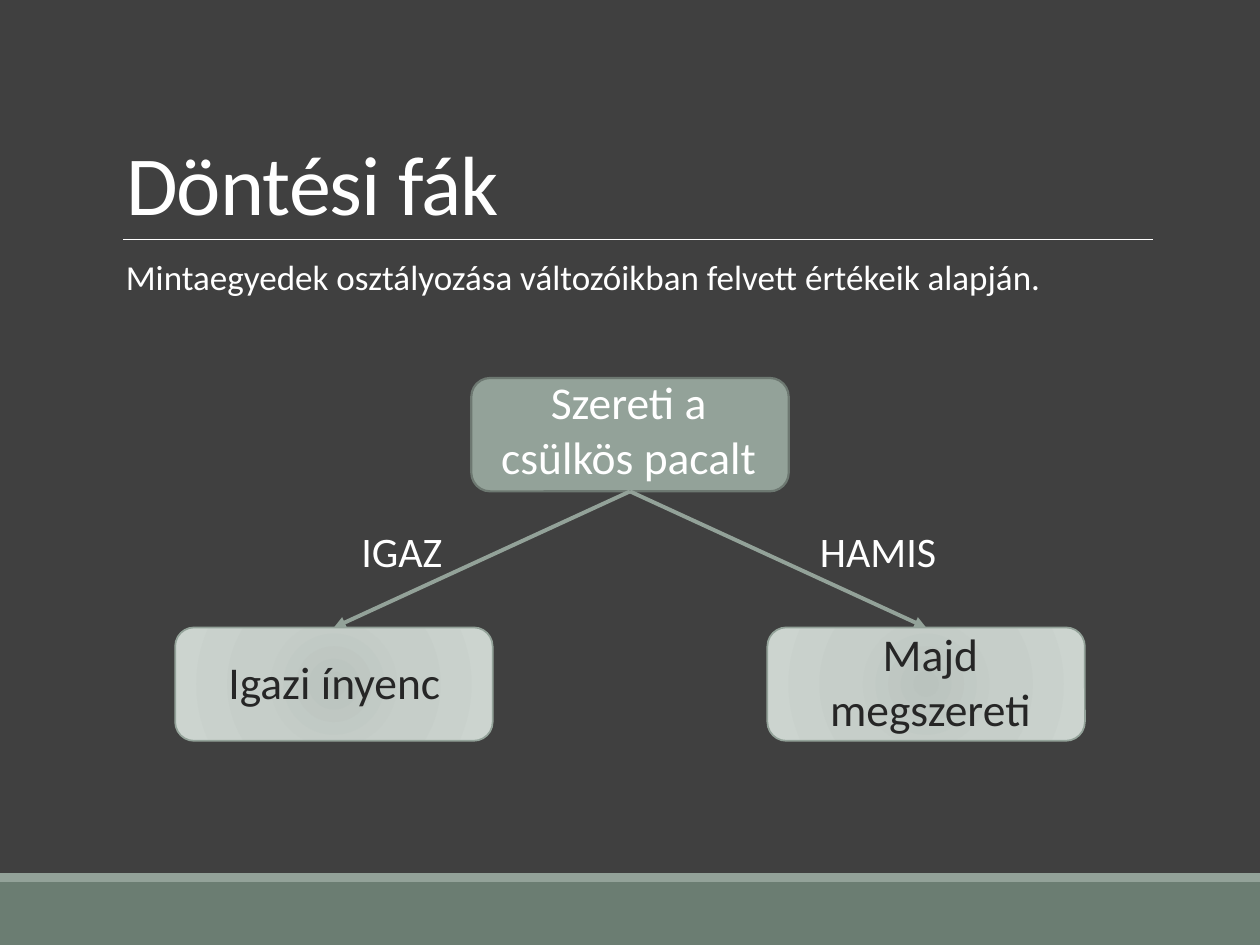
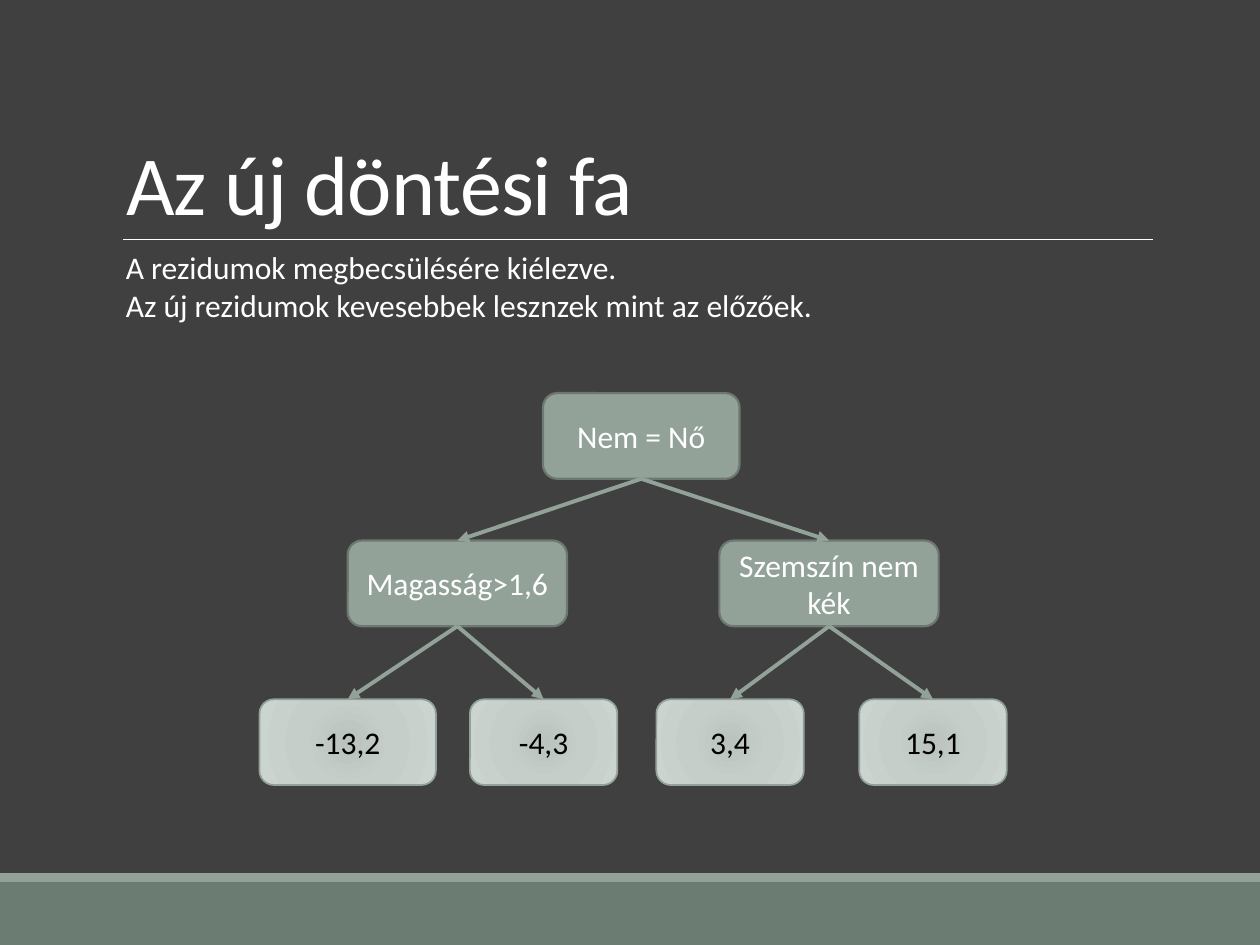
from dataclasses import dataclass, field

import pptx
import pptx.dml.color
import pptx.enum.dml
import pptx.enum.shapes
import pptx.enum.text
import pptx.oxml
import pptx.oxml.ns
import pptx.presentation
import pptx.shapes.autoshape
import pptx.shapes.connector
import pptx.slide
import pptx.text.text
import pptx.util
from lxml import etree

RGBColor = pptx.dml.color.RGBColor
Align = pptx.enum.text.PP_ALIGN
Anchor = pptx.enum.text.MSO_ANCHOR
ShapeKind = pptx.enum.shapes.MSO_SHAPE

# Grid: 100 columns by 75 rows over the whole slide
SLIDE_WIDTH = pptx.util.Inches(10)
SLIDE_HEIGHT = pptx.util.Inches(7.5)
COLUMN = SLIDE_WIDTH / 100
ROW = SLIDE_HEIGHT / 75

# Shared look
FONT = "Calibri"
BACKGROUND = RGBColor(0x40, 0x40, 0x40)
WHITE = RGBColor(0xFF, 0xFF, 0xFF)
BLACK = RGBColor(0x00, 0x00, 0x00)
INK = RGBColor(0x26, 0x26, 0x26)
BAND = RGBColor(0x6B, 0x7D, 0x72)
SAGE = RGBColor(0x93, 0xA2, 0x99)
SAGE_EDGE = RGBColor(0x6D, 0x78, 0x71)
LEAF_STOPS = (
    (0, RGBColor(0xBA, 0xC3, 0xBE)),
    (45, RGBColor(0xC6, 0xCE, 0xC9)),
    (100, RGBColor(0xCC, 0xD4, 0xCF)),
)

# Connection sites of a rounded rectangle
TOP_SITE, BOTTOM_SITE = 0, 2


@dataclass(frozen=True)
class Area:
    """A rectangle in grid columns and rows."""
    column: float
    row: float
    columns: float
    rows: float

    def lengths(self) -> tuple[int, int, int, int]:
        return (round(self.column * COLUMN), round(self.row * ROW),
                round(self.columns * COLUMN), round(self.rows * ROW))


@dataclass(frozen=True)
class Node:
    key: str
    area: Area
    is_leaf: bool = False
    text: str = ""


@dataclass(frozen=True)
class Caption:
    text: str
    area: Area
    size: float
    color: RGBColor = WHITE
    alignment: Align = Align.LEFT
    line_spacing: float = 1.0


@dataclass(frozen=True)
class TreeSlide:
    title: str
    title_top: float
    nodes: list[Node]
    links: list[tuple[str, str]]
    captions: list[Caption] = field(default_factory=list)


def format_text(text_frame: pptx.text.text.TextFrame, size: float, color: RGBColor,
                alignment: Align, line_spacing: float = 1.0) -> None:
    text_frame.word_wrap = True
    for paragraph in text_frame.paragraphs:
        paragraph.alignment = alignment
        paragraph.line_spacing = line_spacing
        for run in paragraph.runs:
            run.font.name = FONT
            run.font.size = pptx.util.Pt(size)
            run.font.color.rgb = color


def fill_radial(shape: pptx.shapes.autoshape.Shape) -> None:
    shape.fill.gradient()
    gradient = shape._element.spPr.find(pptx.oxml.ns.qn("a:gradFill"))
    stops = "".join(
        f'<a:gs pos="{position * 1000}"><a:srgbClr val="{color}"/></a:gs>'
        for position, color in LEAF_STOPS)
    gradient.getparent().replace(gradient, pptx.oxml.parse_xml(
        f'<a:gradFill {pptx.oxml.ns.nsdecls("a")} rotWithShape="1">'
        f'<a:gsLst>{stops}</a:gsLst><a:path path="circle">'
        '<a:fillToRect l="100000" t="100000" r="100000" b="100000"/>'
        '</a:path></a:gradFill>'))


def style_line(connector: pptx.shapes.connector.Connector,
               color: RGBColor, width: float) -> None:
    connector.line.color.rgb = color
    connector.line.width = pptx.util.Pt(width)
    etree.SubElement(connector._element.spPr, pptx.oxml.ns.qn("a:effectLst"))


def add_band(slide: pptx.slide.Slide, area: Area, color: RGBColor) -> None:
    band = slide.shapes.add_shape(ShapeKind.RECTANGLE, *area.lengths())
    band.shadow.inherit = False
    band.fill.solid()
    band.fill.fore_color.rgb = color
    band.line.fill.background()


def add_frame(slide: pptx.slide.Slide) -> None:
    """Footer bands and the rule under the title."""
    add_band(slide, Area(0, 70, 100, 5), BAND)
    add_band(slide, Area(0, 69.3, 100, 0.7), SAGE)
    rule = slide.shapes.add_connector(
        pptx.enum.shapes.MSO_CONNECTOR.STRAIGHT,
        round(9.8 * COLUMN), round(19 * ROW), round(91.5 * COLUMN), round(19 * ROW))
    style_line(rule, WHITE, 0.5)


def set_title(slide: pptx.slide.Slide, text: str, top: float) -> None:
    title = slide.shapes.title
    title.left, title.top, title.width, title.height = Area(
        9, top, 82.5, 19 - top).lengths()
    text_frame = title.text_frame
    text_frame.text = text
    text_frame.auto_size = pptx.enum.text.MSO_AUTO_SIZE.NONE
    text_frame.vertical_anchor = Anchor.BOTTOM
    format_text(text_frame, 48, WHITE, Align.LEFT, 0.85)
    for run in text_frame.paragraphs[0].runs:
        run.font._element.set("spc", "-50")


def add_node(slide: pptx.slide.Slide, node: Node) -> pptx.shapes.autoshape.Shape:
    shape = slide.shapes.add_shape(ShapeKind.ROUNDED_RECTANGLE, *node.area.lengths())
    shape.shadow.inherit = False
    if node.is_leaf:
        fill_radial(shape)
    else:
        shape.fill.solid()
        shape.fill.fore_color.rgb = SAGE
    shape.line.color.rgb = SAGE if node.is_leaf else SAGE_EDGE
    shape.line.width = pptx.util.Pt(1 if node.is_leaf else 1.25)
    if node.text:
        shape.text_frame.text = node.text
        shape.text_frame.vertical_anchor = Anchor.MIDDLE
        format_text(shape.text_frame, 18, BLACK if node.is_leaf else WHITE, Align.CENTER)
    return shape


def add_arrow(slide: pptx.slide.Slide, parent: pptx.shapes.autoshape.Shape,
              child: pptx.shapes.autoshape.Shape) -> None:
    arrow = slide.shapes.add_connector(
        pptx.enum.shapes.MSO_CONNECTOR.STRAIGHT, 0, 0, 0, 0)
    arrow.begin_connect(parent, BOTTOM_SITE)
    arrow.end_connect(child, TOP_SITE)
    style_line(arrow, SAGE, 2.25)
    line = arrow.line._get_or_add_ln()
    etree.SubElement(line, pptx.oxml.ns.qn("a:tailEnd"), type="triangle")


def add_caption(slide: pptx.slide.Slide, caption: Caption) -> None:
    text_box = slide.shapes.add_textbox(*caption.area.lengths())
    text_box.text_frame.text = caption.text
    format_text(text_box.text_frame, caption.size, caption.color,
                caption.alignment, caption.line_spacing)


def add_tree_slide(presentation: pptx.presentation.Presentation,
                   content: TreeSlide) -> None:
    title_only = presentation.slide_layouts.get_by_name("Title Only")
    slide = presentation.slides.add_slide(title_only)
    add_frame(slide)
    set_title(slide, content.title, content.title_top)
    shapes = {node.key: add_node(slide, node) for node in content.nodes}
    for parent, child in content.links:
        add_arrow(slide, shapes[parent], shapes[child])
    for caption in content.captions:
        add_caption(slide, caption)


# Slide 1: a single yes/no question
TASTE_TREE = TreeSlide(
    title="Döntési fák",
    title_top=11,
    nodes=[
        Node("question", Area(37.4, 30, 25.2, 9)),
        Node("true", Area(13.9, 49.8, 25.2, 9), is_leaf=True),
        Node("false", Area(60.9, 49.8, 25.2, 9), is_leaf=True),
    ],
    links=[("question", "true"), ("question", "false")],
    captions=[
        Caption("Mintaegyedek osztályozása változóikban felvett értékeik alapján.",
                Area(9, 20.2, 82.5, 6.1), 20, line_spacing=0.9),
        Caption("IGAZ", Area(27.7, 41.2, 9, 5), 24),
        Caption("HAMIS", Area(64.1, 41.2, 13.4, 5), 24),
        Caption("Szereti a csülkös pacalt", Area(38.3, 29.2, 23.2, 9.8), 26,
                alignment=Align.CENTER),
        Caption("Igazi ínyenc", Area(15.7, 51.4, 21.7, 5.4), 26, INK, Align.CENTER),
        Caption("Majd megszereti", Area(64.1, 49.2, 19.5, 9.8), 26, INK, Align.CENTER),
    ],
)

# Slide 2: two levels of questions above four values
ROOT_ROW, BRANCH_ROW, LEAF_ROW = 31.2, 42.9, 55.5
NODE_ROWS = 6.8
RESIDUAL_TREE = TreeSlide(
    title="Az új döntési fa",
    title_top=3.1,
    nodes=[
        Node("sex", Area(43.1, ROOT_ROW, 15.6, NODE_ROWS), text="Nem = Nő"),
        Node("height", Area(27.6, BRANCH_ROW, 17.4, NODE_ROWS), text="Magasság>1,6"),
        Node("eyes", Area(57.1, BRANCH_ROW, 17.4, NODE_ROWS), text="Szemszín nem kék"),
        Node("tall", Area(20.6, LEAF_ROW, 14, NODE_ROWS), True, "-13,2"),
        Node("short", Area(37.3, LEAF_ROW, 11.7, NODE_ROWS), True, "-4,3"),
        Node("not blue", Area(52.1, LEAF_ROW, 11.7, NODE_ROWS), True, "3,4"),
        Node("blue", Area(68.2, LEAF_ROW, 11.7, NODE_ROWS), True, "15,1"),
    ],
    links=[
        ("sex", "height"), ("sex", "eyes"),
        ("height", "tall"), ("height", "short"),
        ("eyes", "not blue"), ("eyes", "blue"),
    ],
    captions=[
        Caption("A rezidumok megbecsülésére kiélezve.\n"
                "Az új rezidumok kevesebbek lesznzek mint az előzőek.",
                Area(9, 19.2, 81.1, 7.1), 18),
    ],
)


def main() -> None:
    presentation = pptx.Presentation()
    presentation.slide_width = SLIDE_WIDTH
    presentation.slide_height = SLIDE_HEIGHT
    background = presentation.slide_master.background.fill
    background.solid()
    background.fore_color.rgb = BACKGROUND
    for content in (TASTE_TREE, RESIDUAL_TREE):
        add_tree_slide(presentation, content)
    presentation.save("out.pptx")


if __name__ == "__main__":
    main()
